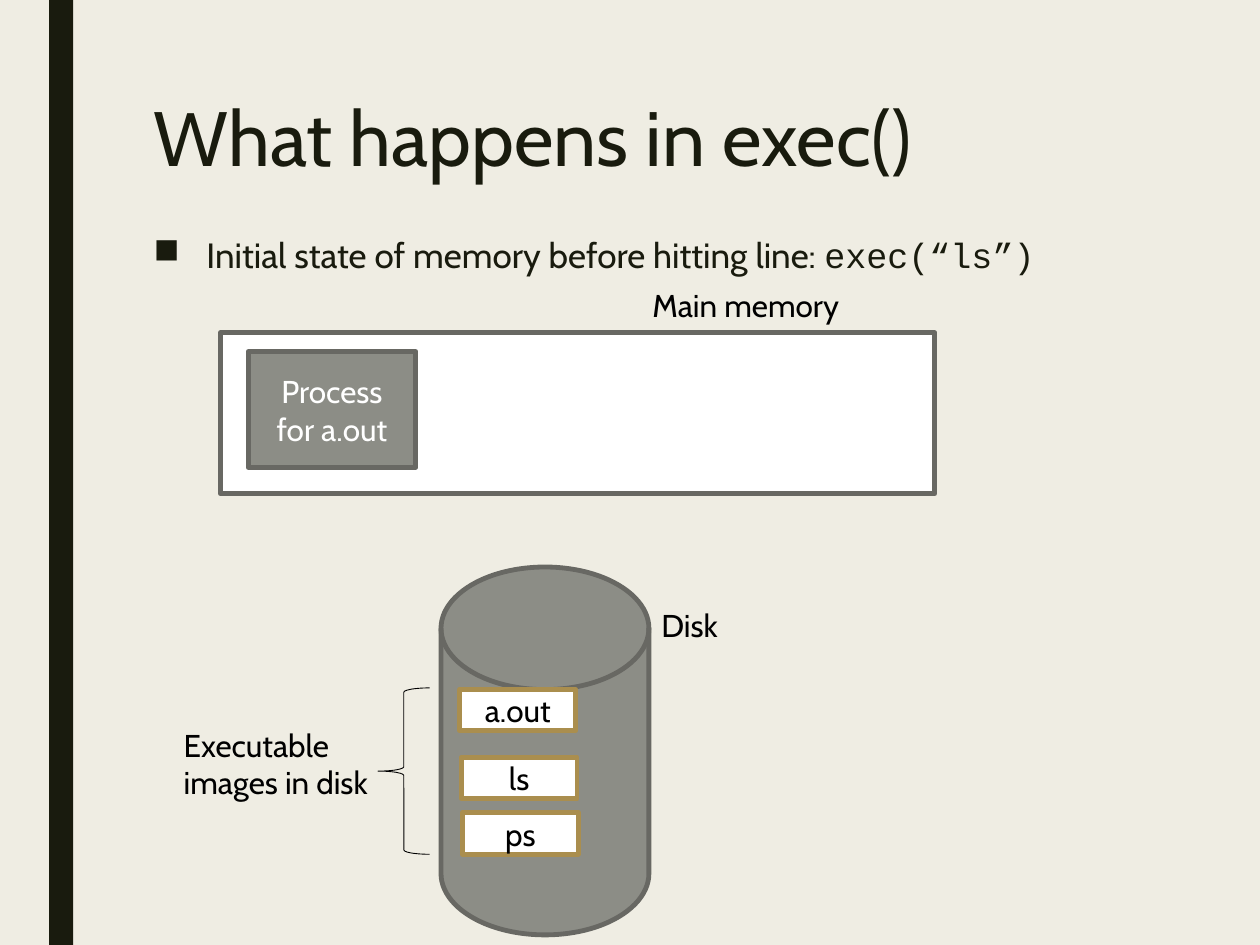
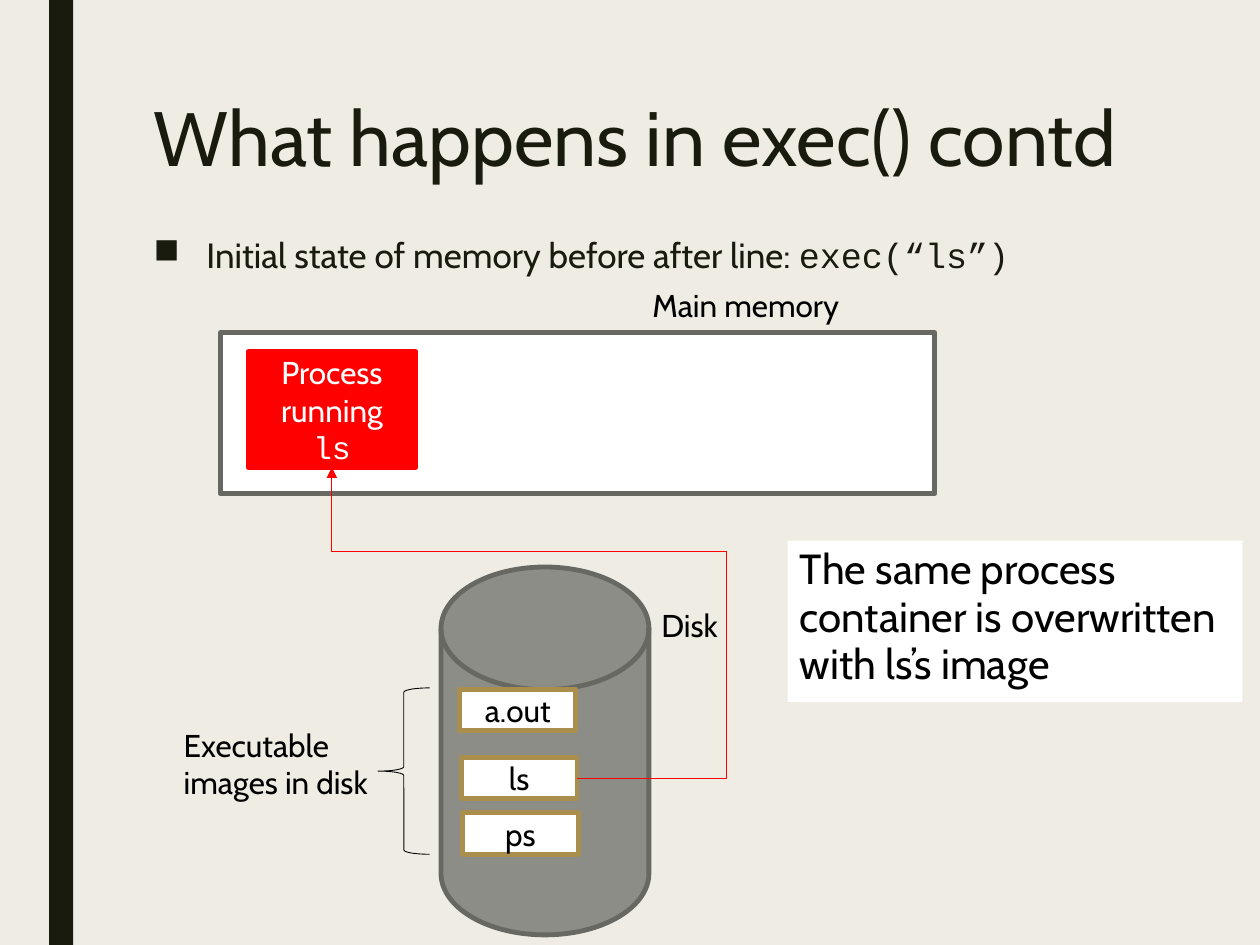
from dataclasses import dataclass

from pptx import Presentation
from pptx.dml.color import RGBColor
from pptx.enum.shapes import MSO_CONNECTOR, MSO_SHAPE
from pptx.enum.text import MSO_ANCHOR, MSO_AUTO_SIZE, PP_ALIGN
from pptx.oxml.ns import qn
from pptx.util import Inches, Pt
from lxml import etree

RECT = MSO_SHAPE.RECTANGLE
CYLINDER = MSO_SHAPE.FLOWCHART_MAGNETIC_DISK
BRACE = MSO_SHAPE.LEFT_BRACE
ELBOW = MSO_CONNECTOR.ELBOW
TOP, MIDDLE = MSO_ANCHOR.TOP, MSO_ANCHOR.MIDDLE
LEFT, CENTER = PP_ALIGN.LEFT, PP_ALIGN.CENTER
NO_AUTOFIT = MSO_AUTO_SIZE.NONE
BOTTOM_SIDE, RIGHT_SIDE = 2, 3
TITLE_ONLY = 5
COLUMNS, ROWS = 100, 75


@dataclass(frozen=True)
class Theme:
    paper: str = "EFEDE3"
    ink: str = "191B0E"
    black: str = "000000"
    white: str = "FFFFFF"
    stone: str = "8C8D86"
    edge: str = "686863"
    gold: str = "AA8E4E"
    alert: str = "FF0000"
    font: str = "Cabin"
    code_font: str = "Courier New"
    title_size: int = 44
    note_size: int = 24
    bullet_size: int = 20
    label_size: int = 18
    heavy: float = 2.75
    fine: float = 0.5
    title_spacing: float = 0.89
    body_spacing: float = 0.94


def rgb(value):
    return RGBColor.from_string(value)


class Deck:
    def __init__(self, theme):
        self.theme = theme
        self.prs = Presentation()
        self.prs.slide_width, self.prs.slide_height = Inches(10), Inches(7.5)
        background = self.prs.slide_master.background.fill
        background.solid()
        background.fore_color.rgb = rgb(theme.paper)
        self.slide = None

    def place(self, column, row, columns, rows):
        across = self.prs.slide_width / COLUMNS
        down = self.prs.slide_height / ROWS
        return [round(n) for n in (column * across, row * down,
                                   columns * across, rows * down)]

    def set_text(self, frame, text, size, color, code="", align=LEFT,
                 anchor=TOP, spacing=1.0, bullet=None):
        frame.word_wrap = True
        frame.auto_size = NO_AUTOFIT
        frame.vertical_anchor = anchor
        paragraph = frame.paragraphs[0]
        paragraph.alignment = align
        paragraph.line_spacing = spacing
        if bullet:
            properties = paragraph._p.get_or_add_pPr()
            indent = Inches(0.42)
            properties.set("marL", str(indent))
            properties.set("indent", str(-indent))
            etree.SubElement(properties, qn("a:buChar")).set("char", bullet)
        font = paragraph.font
        font.size, font.color.rgb = Pt(size), rgb(color)
        paragraph.add_run().text = text
        if code:
            paragraph.add_run().text = code
            for run, name in zip(paragraph.runs,
                                 (self.theme.font, self.theme.code_font)):
                run.font.name = name
        else:
            font.name = self.theme.font

    def new_slide(self, heading):
        theme = self.theme
        self.slide = self.prs.slides.add_slide(
            self.prs.slide_layouts[TITLE_ONLY])
        self.shape(RECT, (3.9, 0, 1.9, ROWS), fill=theme.ink)
        title = self.slide.shapes.title
        title.left, title.top, title.width, title.height = self.place(
            11.2, 7.5, 78.8, 9.2)
        self.set_text(title.text_frame, heading, theme.title_size, theme.ink,
                      spacing=theme.title_spacing)

    def shape(self, preset, area, fill=None, line=None, weight=None):
        shape = self.slide.shapes.add_shape(preset, *self.place(*area))
        shape.shadow.inherit = False
        if fill:
            shape.fill.solid()
            shape.fill.fore_color.rgb = rgb(fill)
        else:
            shape.fill.background()
        if line:
            shape.line.color.rgb = rgb(line)
            shape.line.width = Pt(weight or self.theme.heavy)
        else:
            shape.line.fill.background()
        return shape

    def box(self, area, text, fill, line, color, code=""):
        box = self.shape(RECT, area, fill, line)
        self.set_text(box.text_frame, text, self.theme.label_size, color,
                      code, align=CENTER, anchor=MIDDLE)
        return box

    def text(self, area, text, size=None, color=None, **style):
        box = self.slide.shapes.add_textbox(*self.place(*area))
        self.set_text(box.text_frame, text, size or self.theme.label_size,
                      color or self.theme.black, **style)

    def bullet(self, text, code):
        theme = self.theme
        self.text((11.2, 18.3, 78.8, 45.8), text, theme.bullet_size,
                  theme.ink, code=code, spacing=theme.body_spacing, bullet="■")

    def note(self, area, text):
        theme = self.theme
        note = self.shape(RECT, area, theme.white)
        self.set_text(note.text_frame, text, theme.note_size, theme.black,
                      spacing=theme.body_spacing)

    def route(self, source, target, bends):
        arrow = self.slide.shapes.add_connector(
            ELBOW, source.left + source.width,
            source.top + source.height // 2,
            target.left + target.width // 2, target.top + target.height)
        arrow.begin_connect(source, RIGHT_SIDE)
        arrow.end_connect(target, BOTTOM_SIDE)
        arrow.line.color.rgb = rgb(self.theme.alert)
        arrow.line.width = Pt(self.theme.fine)
        properties = arrow._element.spPr
        geometry = properties.find(qn("a:prstGeom"))
        geometry.set("prst", "bentConnector4")
        guides = geometry.find(qn("a:avLst"))
        if guides is None:
            guides = etree.SubElement(geometry, qn("a:avLst"))
        for number, share in enumerate(bends, 1):
            guide = etree.SubElement(guides, qn("a:gd"))
            guide.set("name", f"adj{number}")
            guide.set("fmla", f"val {round(share * 100000)}")
        head = etree.SubElement(properties.find(qn("a:ln")), qn("a:tailEnd"))
        head.set("type", "triangle")
        etree.SubElement(properties, qn("a:effectLst"))

    def memory(self, process, fill, line, code=""):
        theme = self.theme
        self.shape(RECT, (17.5, 26.4, 56.7, 12.8), theme.white, theme.edge)
        self.text((50.8, 22.2, 19.2, 4), "Main memory")
        return self.box((19.7, 27.9, 13.3, 9.2), process, fill, line,
                        theme.white, code)

    def disk(self):
        theme = self.theme
        self.shape(CYLINDER, (35, 45, 16.5, 29.2), theme.stone, theme.edge)
        self.text((51.5, 47.6, 9.3, 4), "Disk")
        self.text((13.6, 57.1, 18, 7.1), "Executable images in disk")
        self.shape(BRACE, (30, 54.6, 4.1, 13.2), line=theme.black,
                   weight=theme.fine)
        programs = (("a.out", 54.7), ("ls", 60.1), ("ps", 64.5))
        return {name: self.box((36.5 + 0.1 * step, row, 9.2, 3.3), name,
                               theme.white, theme.gold, theme.black)
                for step, (name, row) in enumerate(programs)}


def main():
    theme = Theme()
    deck = Deck(theme)

    deck.new_slide("What happens in exec()")
    deck.bullet("Initial state of memory before hitting line: ", "exec(“ls”)")
    deck.memory("Process for a.out", theme.stone, theme.edge)
    deck.disk()

    deck.new_slide("What happens in exec() contd")
    deck.bullet("Initial state of memory before after line: ", "exec(“ls”)")
    process = deck.memory("Process running ", theme.alert, theme.alert, "ls")
    programs = deck.disk()
    deck.route(programs["ls"], process, (-0.61, 0.73))
    deck.note((62.5, 42.9, 36.1, 12.8),
              "The same process container is overwritten with ls’s image")

    deck.prs.save("out.pptx")


if __name__ == "__main__":
    main()
